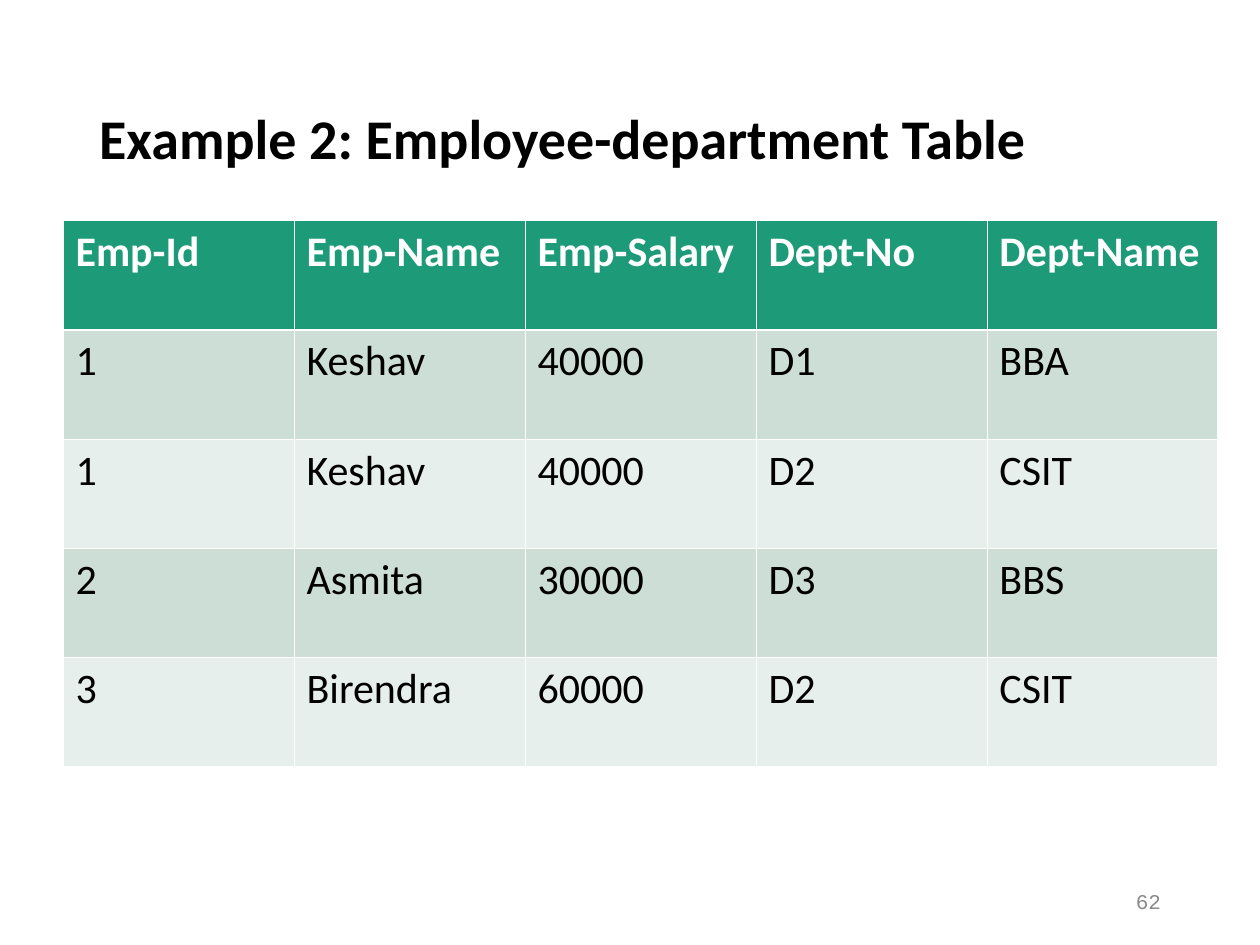
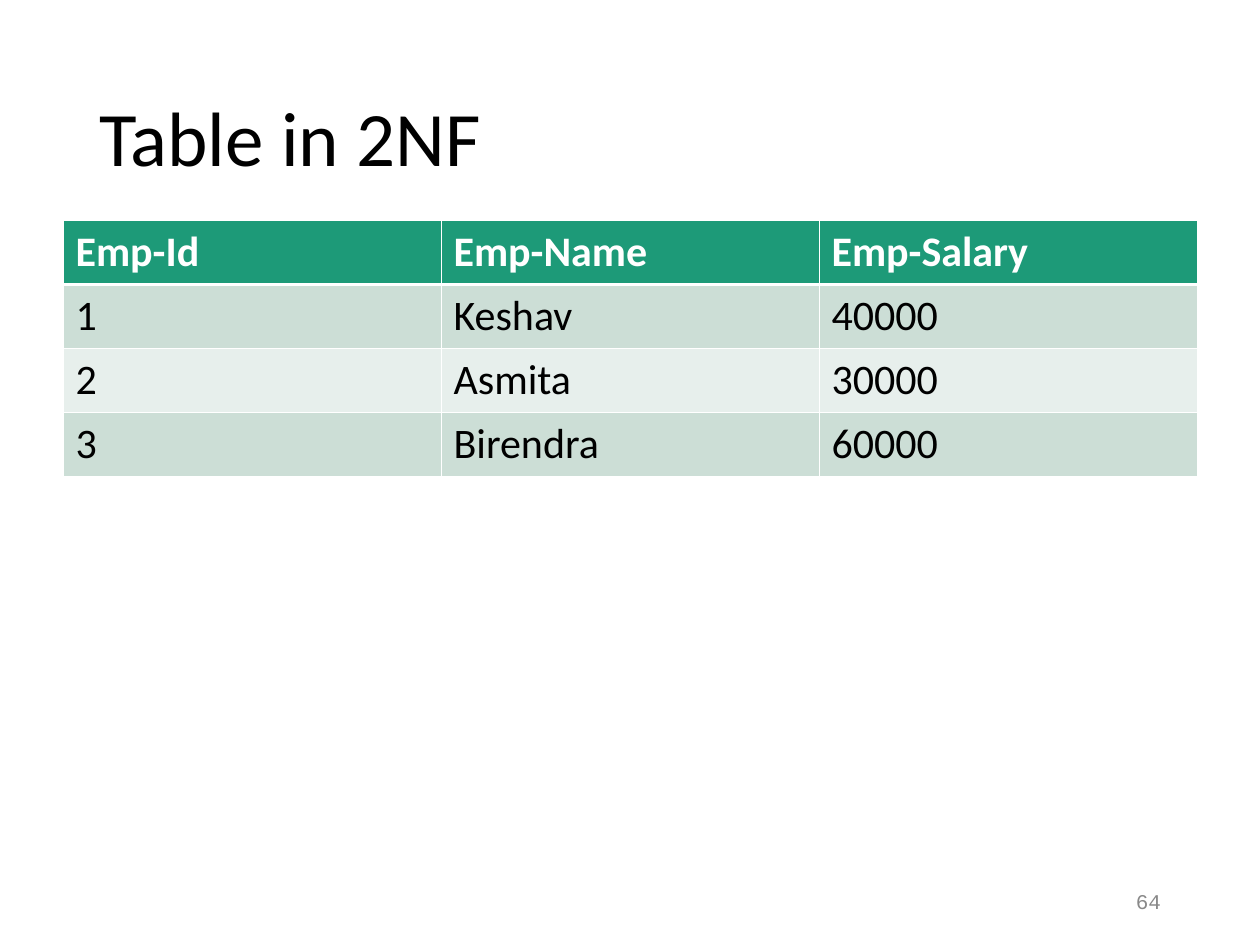
from lxml import etree
from pptx import Presentation
from pptx.dml.color import RGBColor
from pptx.enum.text import MSO_ANCHOR, MSO_AUTO_SIZE, PP_ALIGN
from pptx.oxml.ns import qn
from pptx.util import Pt

MIDDLE = MSO_ANCHOR.MIDDLE
NO_FIT = MSO_AUTO_SIZE.NONE
LEFT, RIGHT = PP_ALIGN.LEFT, PP_ALIGN.RIGHT

BLACK = RGBColor(0x00, 0x00, 0x00)
WHITE = RGBColor(0xFF, 0xFF, 0xFF)
GREY = RGBColor(0x89, 0x89, 0x89)
GREEN = RGBColor(0x1D, 0x9A, 0x78)
BANDS = RGBColor(0xCC, 0xDE, 0xD6), RGBColor(0xE7, 0xEF, 0xEC)

SANS, MONO = "Calibri", "Courier New"
TITLE_ONLY = 5
THIN, THICK = Pt(0.45), Pt(1.47)

STAFF = [
    ("Emp-Id", "Emp-Name", "Emp-Salary", "Dept-No", "Dept-Name"),
    ("1", "Keshav", "40000", "D1", "BBA"),
    ("1", "Keshav", "40000", "D2", "CSIT"),
    ("2", "Asmita", "30000", "D3", "BBS"),
    ("3", "Birendra", "60000", "D2", "CSIT"),
]
NORMAL = [
    ("Emp-Id", "Emp-Name", "Emp-Salary"),
    ("1", "Keshav", "40000"),
    ("2", "Asmita", "30000"),
    ("3", "Birendra", "60000"),
]


def style(para, size, color, name=SANS, bold=False, align=LEFT):
    """Set the font and alignment of a paragraph."""
    para.alignment = align
    font = para.font
    font.size, font.name, font.bold = Pt(size), name, bold
    font.color.rgb = color


def add_title(slide, text, size, bold):
    """Fill and place the title placeholder."""
    title = slide.shapes.title
    title.left, title.top = Pt(49.5), Pt(28.75)
    title.width, title.height = Pt(621), Pt(104.5)
    frame = title.text_frame
    frame.text = text
    frame.auto_size, frame.vertical_anchor = NO_FIT, MIDDLE
    para = frame.paragraphs[0]
    para.line_spacing = 0.9
    style(para, size, BLACK, bold=bold)


def add_edge(cell, side, width):
    """Draw one white border of a cell."""
    props = cell._tc.get_or_add_tcPr()
    line = etree.SubElement(props, qn(f"a:ln{side}"), w=str(width))
    fill = etree.SubElement(line, qn("a:solidFill"))
    etree.SubElement(fill, qn("a:srgbClr"), val=str(WHITE))


def fill_cell(cell, text, row):
    """Write a cell and dress it for its row."""
    head = row == 0
    cell.text = text
    style(cell.text_frame.paragraphs[0], 24, WHITE if head else BLACK, bold=head)
    add_edge(cell, "L", THIN)
    add_edge(cell, "R", THIN)
    add_edge(cell, "T", THICK if row == 1 else THIN)
    add_edge(cell, "B", THICK if head else THIN)
    cell.fill.solid()
    cell.fill.fore_color.rgb = GREEN if head else BANDS[(row - 1) % 2]


def add_grid(slide, data, wide, high):
    """Add a banded table with equal columns and rows."""
    rows, cols = len(data), len(data[0])
    frame = slide.shapes.add_table(
        rows, cols, Pt(36), Pt(126), Pt(wide * cols), Pt(high * rows))
    for row, texts in enumerate(data):
        for col, text in enumerate(texts):
            fill_cell(frame.table.cell(row, col), text, row)


def add_number(slide, number):
    """Add the page number at the lower right."""
    box = slide.shapes.add_textbox(Pt(508.5), Pt(500.5), Pt(162), Pt(28.75))
    frame = box.text_frame
    frame.word_wrap, frame.vertical_anchor = True, MIDDLE
    frame.text = str(number)
    style(frame.paragraphs[0], 12, GREY, MONO, align=RIGHT)


def add_page(deck, title, size, bold, data, wide, high, number):
    """Add a slide with a title, a table and a page number."""
    slide = deck.slides.add_slide(deck.slide_layouts[TITLE_ONLY])
    add_title(slide, title, size, bold)
    add_grid(slide, data, wide, high)
    add_number(slide, number)


def main():
    """Build and save the slides."""
    deck = Presentation()
    deck.slide_width, deck.slide_height = Pt(720), Pt(540)
    add_page(deck, "Example 2: Employee-department Table", 32, True,
             STAFF, 132, 62.4, 62)
    add_page(deck, "Table in 2NF", 44, False, NORMAL, 216, 36, 64)
    deck.save("out.pptx")


if __name__ == "__main__":
    main()
